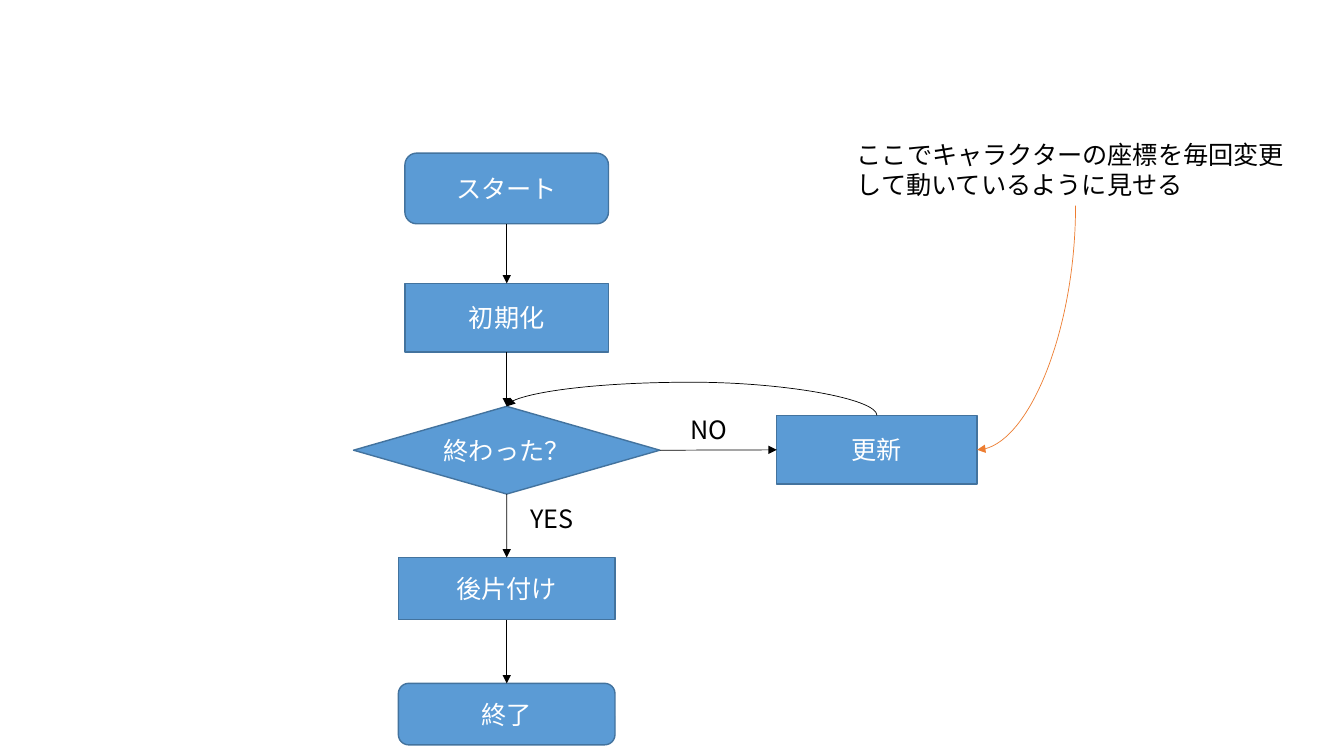
from pptx import Presentation
from pptx import util as u
from pptx.dml.color import RGBColor
from pptx.enum import shapes, text
from pptx.oxml import ns
from lxml import etree

FONT = "Noto Sans CJK JP"
TOP, LEFT, BOTTOM, RIGHT = range(4)  # connection sites
CENTRE = 12.77  # middle of the main column, cm


def colour(hex_code):
    """Turn a hex string into a colour."""
    return RGBColor.from_string(hex_code)


def add_child(parent, tag, **attributes):
    """Append a drawing element to a parent element."""
    return etree.SubElement(parent, ns.qn(tag), attributes)


def write(box, words, hex_code, align):
    """Put one run of 18 pt text into a shape."""
    box.text_frame.word_wrap = True
    para = box.text_frame.paragraphs[0]
    para.alignment = align
    span = para.add_run()
    span.text = words
    span.font.size = u.Pt(18)
    span.font.name = FONT
    span.font.color.rgb = colour(hex_code)
    add_child(span.font._element, "a:ea", typeface=FONT)


def add_step(page, kind, words, centre, top, width, height):
    """Add a flowchart step centred on a column."""
    box = page.shapes.add_shape(kind, u.Cm(centre - width / 2), u.Cm(top),
                                u.Cm(width), u.Cm(height))
    box.shadow.inherit = False
    box.fill.solid()
    box.fill.fore_color.rgb = colour("5B9BD5")
    box.line.color.rgb = colour("43739E")
    box.line.width = u.Pt(1)
    box.text_frame.vertical_anchor = text.MSO_ANCHOR.MIDDLE
    write(box, words, "FFFFFF", text.PP_ALIGN.CENTER)
    return box


def add_label(page, words, left, top, width, height):
    """Add a plain text box."""
    box = page.shapes.add_textbox(u.Cm(left), u.Cm(top), u.Cm(width), u.Cm(height))
    write(box, words, "000000", text.PP_ALIGN.LEFT)
    box.text_frame.auto_size = text.MSO_AUTO_SIZE.SHAPE_TO_FIT_TEXT
    return box


def add_arrow(page, source, source_site, target, target_site,
              hex_code="000000", kind=shapes.MSO_CONNECTOR.STRAIGHT):
    """Add an arrow glued to two shapes."""
    arrow = page.shapes.add_connector(kind, 0, 0, 0, 0)
    arrow.begin_connect(source, source_site)
    arrow.end_connect(target, target_site)
    arrow.line.color.rgb = colour(hex_code)
    arrow.line.width = u.Pt(0.5)
    add_child(arrow.line._get_or_add_ln(), "a:tailEnd", type="triangle")
    add_child(arrow._element.spPr, "a:effectLst")
    return arrow


def bend(arrow, preset, degrees, flip=False, bulge=None):
    """Turn a curved arrow so that it leaves its source vertically."""
    centre_x = (arrow.begin_x + arrow.end_x) // 2
    centre_y = (arrow.begin_y + arrow.end_y) // 2
    width, height = arrow.height, arrow.width
    arrow.left, arrow.top = centre_x - width // 2, centre_y - height // 2
    arrow.width, arrow.height = width, height
    properties = arrow._element.spPr
    frame = properties.find(ns.qn("a:xfrm"))
    frame.set("rot", str(degrees * 60000))
    frame.set("flipH", "0")
    frame.set("flipV", str(int(flip)))
    geometry = properties.find(ns.qn("a:prstGeom"))
    geometry.set("prst", preset)
    if bulge is not None:
        guides = geometry.find(ns.qn("a:avLst"))
        if guides is None:
            guides = add_child(geometry, "a:avLst")
        add_child(guides, "a:gd", name="adj1", fmla=f"val {round(bulge * 100000)}")


def main():
    """Build the game loop flowchart."""
    deck = Presentation()
    deck.slide_width, deck.slide_height = u.Cm(33.87), u.Cm(19.05)
    page = deck.slides.add_slide(deck.slide_layouts[6])

    kinds = shapes.MSO_SHAPE
    column = [add_step(page, kind, words, CENTRE, *place) for kind, words, place in (
        (kinds.ROUNDED_RECTANGLE, "スタート", (3.86, 5.13, 1.78)),
        (kinds.RECTANGLE, "初期化", (7.14, 5.13, 1.73)),
        (kinds.DIAMOND, "終わった？", (10.24, 7.72, 2.21)),
        (kinds.RECTANGLE, "後片付け", (14.05, 5.46, 1.57)),
        (kinds.ROUNDED_RECTANGLE, "終了", (17.22, 5.46, 1.55)),
    )]
    decision = column[2]
    update = add_step(page, kinds.RECTANGLE, "更新", 22.1, 10.47, 5.05, 1.73)

    add_label(page, "YES", 13.11, 12.57, 4.39, 1.02)
    add_label(page, "NO", 17.15, 10.31, 2.24, 1.02)
    note = add_label(page, "ここでキャラクターの座標を毎回変更して動いているように見せる",
                     21.34, 3.38, 11.53, 1.8)

    for upper, lower in zip(column, column[1:]):
        add_arrow(page, upper, BOTTOM, lower, TOP)
    add_arrow(page, decision, RIGHT, update, LEFT)

    curve = shapes.MSO_CONNECTOR.CURVE
    loop = add_arrow(page, update, TOP, decision, TOP, kind=curve)
    bend(loop, "curvedConnector3", 270, flip=True, bulge=3.64)
    pointer = add_arrow(page, note, BOTTOM, update, RIGHT, "ED7D31", curve)
    bend(pointer, "curvedConnector2", 90)

    deck.save("out.pptx")


main()
